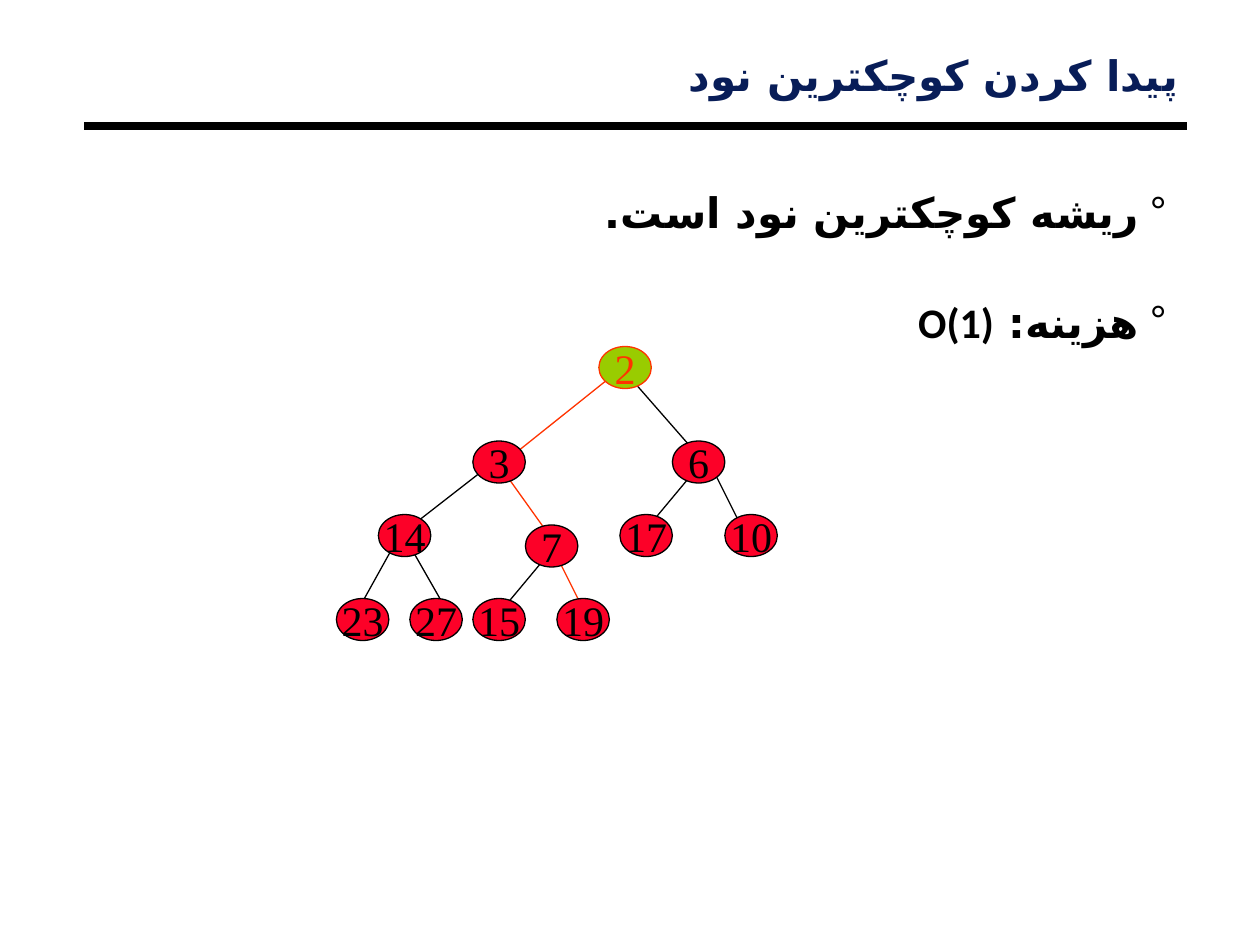
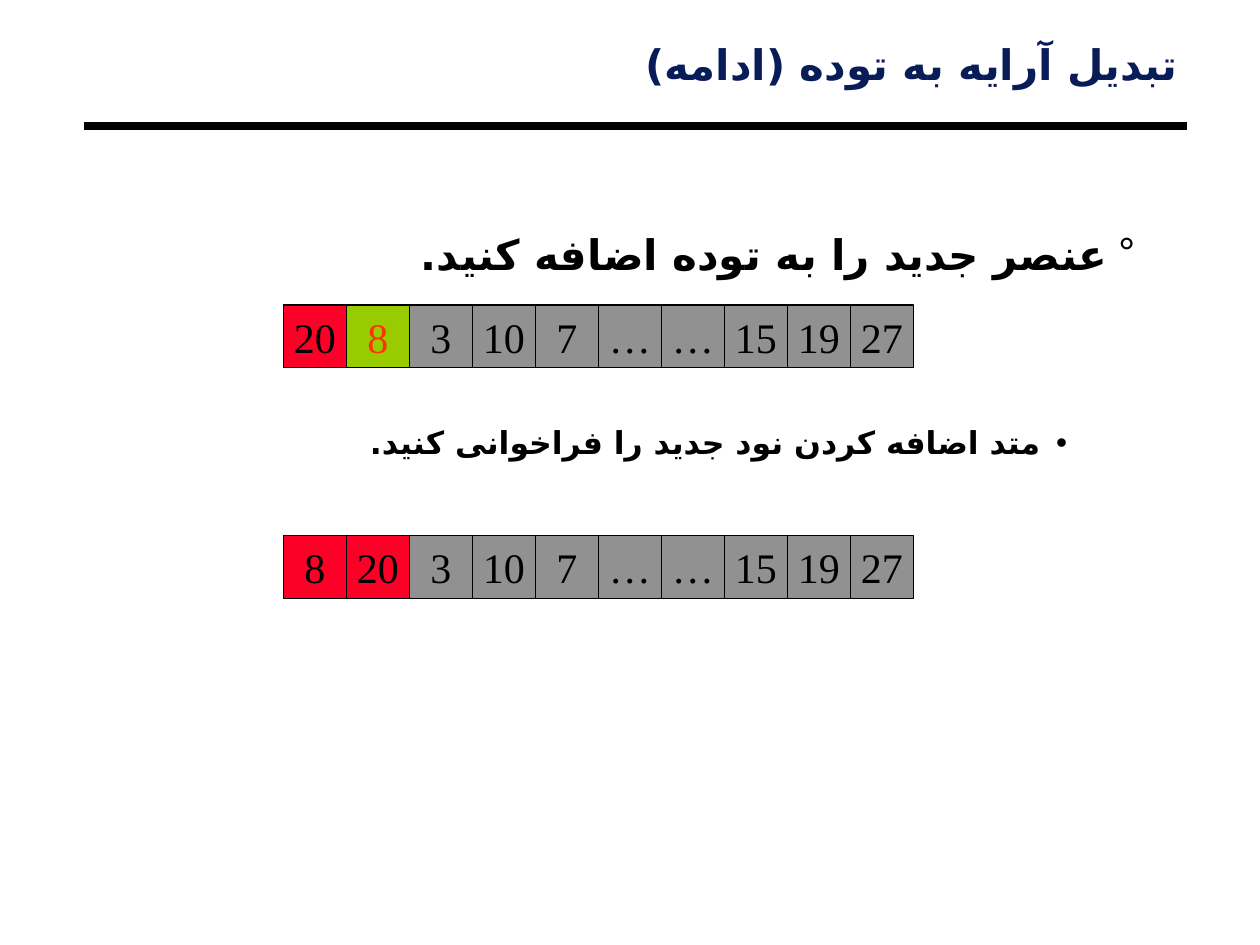
from dataclasses import dataclass

from lxml import etree
from pptx import Presentation
from pptx.dml.color import RGBColor
from pptx.enum.shapes import MSO_CONNECTOR, MSO_SHAPE
from pptx.enum.text import MSO_ANCHOR, MSO_AUTO_SIZE, PP_ALIGN
from pptx.oxml.ns import qn
from pptx.util import Inches, Pt

STRAIGHT = MSO_CONNECTOR.STRAIGHT
ELLIPSE, RECTANGLE = MSO_SHAPE.OVAL, MSO_SHAPE.RECTANGLE
TOP, MIDDLE = MSO_ANCHOR.TOP, MSO_ANCHOR.MIDDLE
FIXED_SIZE = MSO_AUTO_SIZE.NONE
RIGHT, CENTER = PP_ALIGN.RIGHT, PP_ALIGN.CENTER


@dataclass(frozen=True)
class Theme:
    black: str = "000000"
    navy: str = "081D58"
    red: str = "FC0128"
    green: str = "99CC00"
    orange: str = "FF3300"
    gray: str = "919191"
    title_font: str = "Roboto"
    body_font: str = "Calibri"
    number_font: str = "Times New Roman"
    persian_font: str = "DejaVu Sans"
    large: int = 24
    small: int = 18
    thin: float = 0.75
    thick: float = 4.5


THEME = Theme()

# Tree measures are twelfths of an inch from the tree's corner
NODE_SIZE = (5, 4)
HEAP_NODES = [  # number, column, row
    ("3", 13, 9), ("6", 32, 9),
    ("14", 4, 16), ("7", 18, 17), ("17", 27, 16), ("10", 37, 16),
    ("23", 0, 24), ("27", 7, 24), ("15", 13, 24), ("19", 21, 24),
    ("2", 25, 0),
]
PLAIN_EDGES = [
    (15, 11, 6, 18), (6, 18, 1, 27), (7, 19, 11, 26), (28, 3, 35, 11),
    (34, 12, 29, 18), (36, 12, 39, 18), (20, 20, 15, 26),
]
PATH_EDGES = [(26, 3, 16, 11), (16, 12, 21, 19), (21, 20, 24, 26)]

ARRAY_TAIL = ["3", "10", "7", "…", "…", "15", "19", "27"]
CELL = 0.5


def color(value):
    return RGBColor.from_string(value)


def set_font(paragraph, name, size, value, bold=False):
    font = paragraph.font
    font.name, font.size, font.bold = name, Pt(size), bold
    font.color.rgb = color(value)


def set_right_to_left(paragraph):
    """Right-to-left direction, with the Persian font for complex scripts."""
    paragraph.alignment = RIGHT
    paragraph._p.get_or_add_pPr().set("rtl", "1")
    for run in paragraph.runs:
        properties = run._r.get_or_add_rPr()
        properties.set("lang", "fa-IR")
        etree.SubElement(properties, qn("a:cs"), typeface=THEME.persian_font)


def add_bullet(paragraph, character, margin, indent):
    properties = paragraph._p.get_or_add_pPr()
    properties.set("marL", str(Inches(margin)))
    properties.set("indent", str(-Inches(indent)))
    bullet_color = etree.SubElement(properties, qn("a:buClr"))
    etree.SubElement(bullet_color, qn("a:srgbClr"), val=THEME.black)
    etree.SubElement(properties, qn("a:buChar"), char=character)


def add_line(shapes, ends, value, width):
    line = shapes.add_connector(STRAIGHT, *ends)
    line.line.color.rgb = color(value)
    line.line.width = Pt(width)
    etree.SubElement(line._element.spPr, qn("a:effectLst"))
    return line


def add_number(shapes, kind, box, number, fill, outline, ink):
    shape = shapes.add_shape(kind, *box)
    shape.shadow.inherit = False
    shape.fill.solid()
    shape.fill.fore_color.rgb = color(fill)
    shape.line.color.rgb = color(outline)
    shape.line.width = Pt(THEME.thin)
    frame = shape.text_frame
    frame.word_wrap = False
    frame.vertical_anchor = MIDDLE
    paragraph = frame.paragraphs[0]
    paragraph.text = number
    paragraph.alignment = CENTER
    set_font(paragraph, THEME.number_font, THEME.large, ink)


def prepare_placeholder(placeholder, box):
    placeholder.left, placeholder.top, placeholder.width, placeholder.height = map(Inches, box)
    frame = placeholder.text_frame
    frame.margin_left = frame.margin_right = Inches(0.07)
    frame.margin_top = frame.margin_bottom = Inches(0.03)
    frame.vertical_anchor = TOP
    frame.auto_size = FIXED_SIZE
    frame.word_wrap = True
    return frame


def fill_title(slide, box, text):
    paragraph = prepare_placeholder(slide.shapes.title, box).paragraphs[0]
    paragraph.text = text
    paragraph.line_spacing = 0.87
    set_right_to_left(paragraph)
    set_font(paragraph, THEME.title_font, THEME.large, THEME.navy, bold=True)


def fill_body(slide, box, items):
    """Items are (text, level, space before in points)."""
    frame = prepare_placeholder(slide.placeholders[1], box)
    for index, (text, level, space_before) in enumerate(items):
        paragraph = frame.add_paragraph() if index else frame.paragraphs[0]
        paragraph.text = text
        paragraph.level = level
        if level:
            add_bullet(paragraph, "•", 0.75, 0.21)
        else:
            add_bullet(paragraph, "°", 0.22, 0.22)
        paragraph.line_spacing = 1.5
        paragraph.space_before = Pt(space_before)
        set_right_to_left(paragraph)
        size = THEME.small if level else THEME.large
        set_font(paragraph, THEME.body_font, size, THEME.black, bold=True)


def add_heap_tree(slide, left, top):
    unit = Inches(1) / 12

    def across(column):
        return round(Inches(left) + column * unit)

    def down(row):
        return round(Inches(top) + row * unit)

    shapes = slide.shapes.add_group_shape().shapes
    # Edges lie behind the nodes
    for edges, value in ((PLAIN_EDGES, THEME.black), (PATH_EDGES, THEME.orange)):
        for x1, y1, x2, y2 in edges:
            ends = (across(x1), down(y1), across(x2), down(y2))
            line = add_line(shapes, ends, value, THEME.thin)
            if (x1, y1, x2, y2) == PATH_EDGES[0]:
                etree.SubElement(line.line._get_or_add_ln(), qn("a:tailEnd"), type="triangle")
    # Nodes, with the root highlighted
    width, height = (round(side * unit) for side in NODE_SIZE)
    for number, column, row in HEAP_NODES:
        is_root = row == 0
        fill = THEME.green if is_root else THEME.red
        ink = THEME.orange if is_root else THEME.black
        box = (across(column), down(row), width, height)
        add_number(shapes, ELLIPSE, box, number, fill, ink, ink)


def add_array(slide, left, top, heap, new_element=None):
    """Heap cells are red, the new element green, the rest gray."""
    cells = [(number, THEME.red, THEME.black) for number in heap]
    if new_element:
        cells.append((new_element, THEME.green, THEME.orange))
    cells += [(number, THEME.gray, THEME.black) for number in ARRAY_TAIL]
    for index, (number, fill, ink) in enumerate(cells):
        box = [Inches(side) for side in (left + index * CELL, top, CELL, CELL)]
        add_number(slide.shapes, RECTANGLE, box, number, fill, THEME.black, ink)


def add_title_rule(slide):
    """Put the rule under the title on the layout that all slides share."""
    ends = [Inches(side) for side in (0.67, 1, 9.42, 1)]
    rule = add_line(slide.shapes, ends, THEME.black, THEME.thick)
    slide.slide_layout.shapes._spTree.append(rule._element)


def build_minimum_slide(slide):
    fill_title(slide, (0.67, 0.42, 8.75, 0.5), "پیدا کردن کوچکترین نود")
    fill_body(slide, (0.75, 1.25, 8.58, 1.53), [
        ("ریشه کوچکترین نود است.", 0, 0),
        ("هزینه: O(1)", 0, 19.5),
    ])
    add_heap_tree(slide, 2.67, 2.75)


def build_heapify_slide(slide):
    fill_title(slide, (0.75, 0.33, 8.67, 0.75), "تبدیل آرایه به توده (ادامه)")
    fill_body(slide, (0.58, 1.58, 8.5, 2.11), [
        ("عنصر جدید را به توده اضافه کنید.", 0, 0),
        ("متد اضافه کردن نود جدید را فراخوانی کنید.", 1, 72),
    ])
    add_array(slide, 2.25, 2.42, ["20"], new_element="8")
    add_array(slide, 2.25, 4.25, ["8", "20"])


def main():
    presentation = Presentation()
    presentation.slide_width, presentation.slide_height = Inches(10), Inches(7.5)
    layout = presentation.slide_layouts[1]
    minimum_slide, heapify_slide = (presentation.slides.add_slide(layout) for _ in range(2))
    add_title_rule(minimum_slide)
    build_minimum_slide(minimum_slide)
    build_heapify_slide(heapify_slide)
    presentation.save("out.pptx")


if __name__ == "__main__":
    main()
